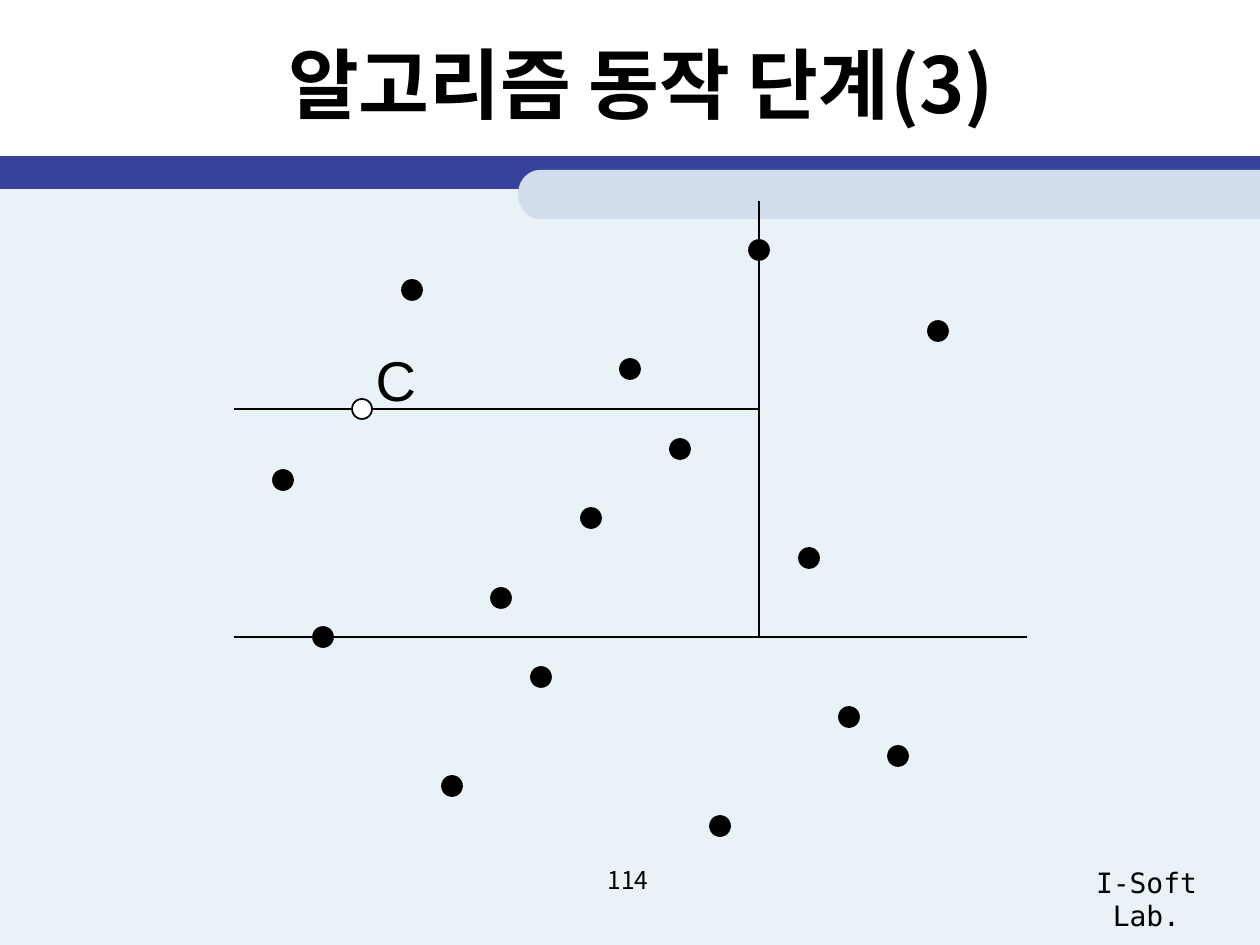
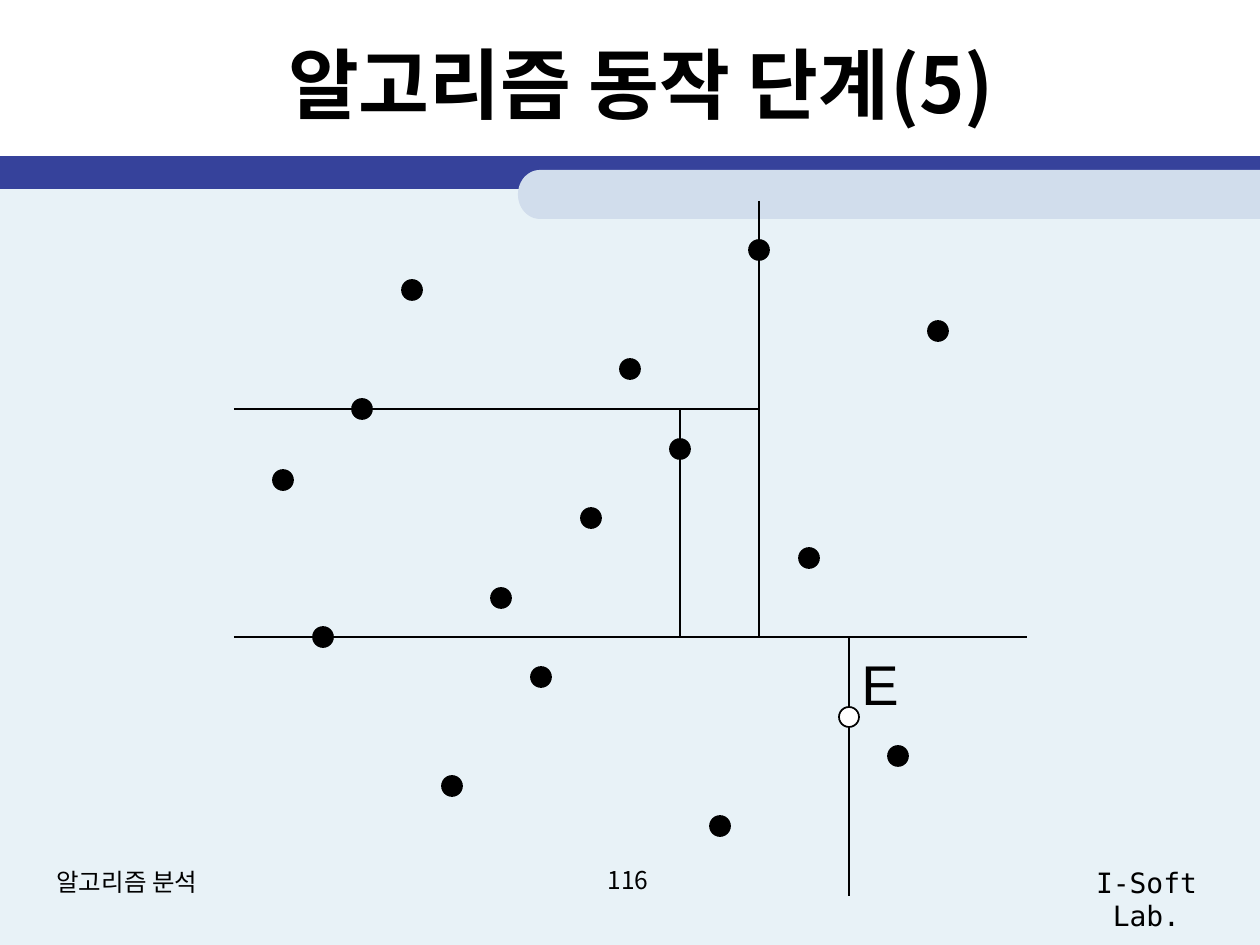
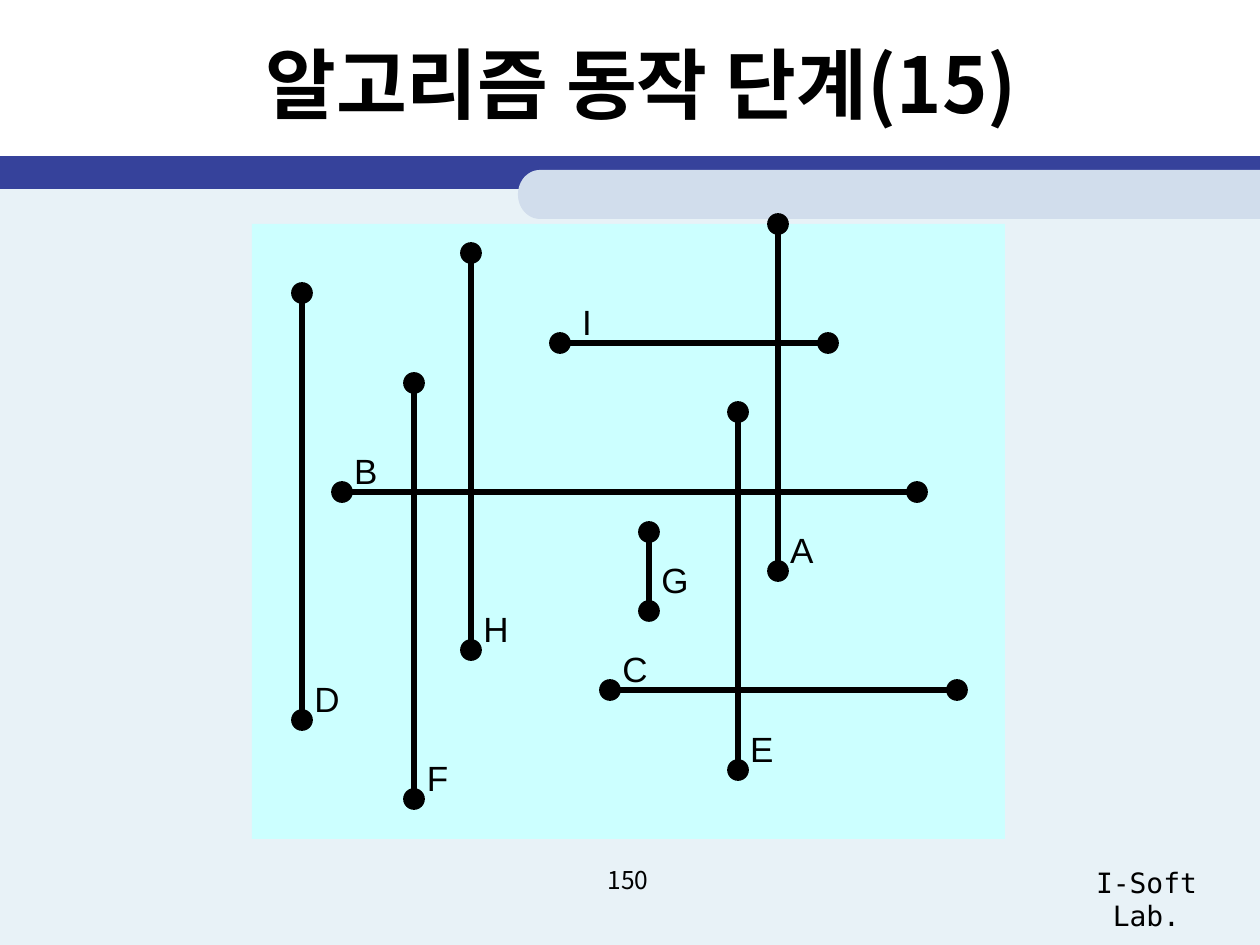
from dataclasses import dataclass
from math import cos, pi, sin

from lxml.etree import SubElement
from pptx import Presentation
from pptx.dml.color import RGBColor
from pptx.enum.shapes import MSO_CONNECTOR, MSO_SHAPE
from pptx.enum.text import MSO_ANCHOR, MSO_AUTO_SIZE, PP_ALIGN
from pptx.oxml.ns import qn
from pptx.shapes.autoshape import Shape
from pptx.slide import Slide
from pptx.text.text import TextFrame
from pptx.util import Pt

PX = 914400 / 126
SLIDE_WIDTH, SLIDE_HEIGHT = 1260, 945
DOT_SIZE = 20
COLORS = {
    "ink": "000000",
    "paper": "FFFFFF",
    "background": "E8F2F7",
    "band": "36429B",
    "tab": "D1DDEC",
    "panel": "CCFFFF",
}
KOREAN, LATIN, MONO = "Noto Sans CJK KR", "Arial", "DejaVu Sans Mono"

Point = tuple[int, int]
Box = tuple[int, int, int, int]


@dataclass(frozen=True)
class Label:
    text: str
    box: Box


@dataclass(frozen=True)
class Line:
    start: Point
    end: Point


@dataclass(frozen=True)
class Segment:
    name: str
    line: Line
    label_width: int
    nudge: Point = (0, 0)


@dataclass(frozen=True)
class Step:
    number: int
    page: int
    current: Point
    label: Label
    lines: list[Line]
    footer: str = ""


# Points of the plane and the lines that divide it
POINTS = [
    (412, 290), (591, 518), (720, 826), (849, 717), (898, 756), (541, 677),
    (630, 369), (283, 480), (501, 598), (452, 786), (809, 558), (680, 449),
    (938, 331), (323, 637), (759, 250), (362, 409),
]
FIRST_CUTS = [
    Line((234, 637), (1027, 637)),
    Line((759, 201), (759, 637)),
    Line((234, 409), (759, 409)),
]
STEPS = [
    Step(3, 114, (362, 409), Label("C", (363, 339, 66, 81)), FIRST_CUTS),
    Step(5, 116, (849, 717), Label("E", (849, 643, 62, 81)),
         FIRST_CUTS + [Line((680, 409), (680, 637)),
                       Line((849, 637), (849, 896))],
         "알고리즘 분석"),
]

# Horizontal and vertical segments of the last step
SEGMENTS = [
    Segment("D", Line((302, 293), (302, 720)), 50),
    Segment("A", Line((778, 224), (778, 571)), 48),
    Segment("B", Line((342, 492), (917, 492)), 48),
    Segment("C", Line((610, 690), (957, 690)), 50),
    Segment("E", Line((738, 412), (738, 770)), 48),
    Segment("G", Line((649, 532), (649, 611)), 52, (0, -10)),
    Segment("H", Line((471, 253), (471, 650)), 50),
    Segment("I", Line((560, 343), (828, 343)), 34, (10, 0)),
    Segment("F", Line((414, 383), (414, 799)), 47),
]


def px(length: float) -> int:
    return round(length * PX)


def color(name: str) -> RGBColor:
    return RGBColor.from_string(COLORS[name])


def write(frame: TextFrame, text: str, *, size: int, font: str = KOREAN,
          bold: bool = False, align: PP_ALIGN = PP_ALIGN.CENTER,
          anchor: MSO_ANCHOR = MSO_ANCHOR.TOP, wrap: bool = True) -> None:
    frame.word_wrap = wrap
    frame.auto_size = MSO_AUTO_SIZE.NONE
    frame.vertical_anchor = anchor
    paragraph = frame.paragraphs[0]
    paragraph.alignment = align
    run = paragraph.add_run()
    run.text = text
    run.font.size = Pt(size)
    run.font.bold = bold
    run.font.color.rgb = color("ink")
    run.font.name = font
    SubElement(run.font._element, qn("a:ea")).set("typeface", font)


def add_text(slide: Slide, box: Box, text: str, **style) -> Shape:
    text_box = slide.shapes.add_textbox(*map(px, box))
    write(text_box.text_frame, text, **style)
    return text_box


def paint(shape: Shape, fill: str, line: str = "") -> Shape:
    shape.shadow.inherit = False
    shape.fill.solid()
    shape.fill.fore_color.rgb = color(fill)
    if line:
        shape.line.color.rgb = color(line)
        shape.line.width = Pt(1)
    else:
        shape.line.fill.background()
    return shape


def add_rectangle(slide: Slide, box: Box, fill: str) -> Shape:
    return paint(slide.shapes.add_shape(MSO_SHAPE.RECTANGLE, *map(px, box)), fill)


def add_dot(slide: Slide, center: Point, fill: str = "ink") -> None:
    left, top = (value - DOT_SIZE / 2 for value in center)
    box = (left, top, DOT_SIZE, DOT_SIZE)
    paint(slide.shapes.add_shape(MSO_SHAPE.OVAL, *map(px, box)), fill, "ink")


def add_line(slide: Slide, line: Line, width: float) -> None:
    connector = slide.shapes.add_connector(
        MSO_CONNECTOR.STRAIGHT, *map(px, line.start + line.end))
    connector.line.color.rgb = color("ink")
    connector.line.width = Pt(width)
    SubElement(connector.element.spPr, qn("a:effectLst"))


def add_tab(slide: Slide) -> Shape:
    """A strip with a rounded left end that runs to the slide's right edge."""
    center_x, center_y, radius_x, radius_y = 540, 194.5, 22, 24.5
    angles = [pi / 2 + pi * step / 24 for step in range(25)]
    outline = [(px(center_x + radius_x * cos(angle)),
                px(center_y - radius_y * sin(angle))) for angle in angles]
    right = px(SLIDE_WIDTH)
    builder = slide.shapes.build_freeform(right, outline[0][1])
    builder.add_line_segments(outline + [(right, outline[-1][1])], close=True)
    return paint(builder.convert_to_shape(), "tab")


def dress_master(presentation: Presentation, slide: Slide) -> None:
    """Draw the shared parts on a slide and move them to the master."""
    parts = [
        add_rectangle(slide, (0, 176, SLIDE_WIDTH, 769), "background"),
        add_rectangle(slide, (0, 156, SLIDE_WIDTH, 33), "band"),
        add_tab(slide),
        add_text(slide, (1047, 859, 199, 47), "I-Soft Lab.", size=16, font=MONO),
    ]
    tree = presentation.slide_master.shapes.element
    for number, part in enumerate(parts):
        part.element.xpath("./p:nvSpPr/p:cNvPr")[0].set("id", str(100 + number))
        tree.insert(2 + number, part.element)


def add_step_slide(presentation: Presentation, number: int, page: int,
                   footer: str = "") -> Slide:
    slide = presentation.slides.add_slide(presentation.slide_layouts[5])
    title = slide.shapes.title
    title.left, title.top, title.width, title.height = map(px, (74, 10, 1134, 145))
    write(title.text_frame, f"알고리즘 동작 단계({number})", size=44, bold=True,
          anchor=MSO_ANCHOR.MIDDLE)
    if footer:
        add_text(slide, (44, 861, 399, 66), footer, size=14, align=PP_ALIGN.LEFT)
    add_text(slide, (481, 859, 294, 66), str(page), size=14)
    return slide


def draw_division(slide: Slide, step: Step) -> None:
    for line in step.lines:
        add_line(slide, line, 0.75)
    for point in POINTS:
        add_dot(slide, point, "paper" if point == step.current else "ink")
    add_text(slide, step.label.box, step.label.text, size=32, font=LATIN, wrap=False)


def draw_segments(slide: Slide) -> None:
    add_rectangle(slide, (252, 224, 753, 615), "panel")
    for segment in SEGMENTS:
        line = segment.line
        add_line(slide, line, 3)
        add_dot(slide, line.start)
        add_dot(slide, line.end)
        # Names stand at the left end or at the lower end
        is_vertical = line.start[0] == line.end[0]
        x, y = line.end if is_vertical else line.start
        box = (x + segment.nudge[0], y - 49 + segment.nudge[1],
               segment.label_width, 55)
        add_text(slide, box, segment.name, size=20, font=LATIN, wrap=False)


def main() -> None:
    presentation = Presentation()
    presentation.slide_width = px(SLIDE_WIDTH)
    presentation.slide_height = px(SLIDE_HEIGHT)
    for step in STEPS:
        slide = add_step_slide(presentation, step.number, step.page, step.footer)
        draw_division(slide, step)
    last_slide = add_step_slide(presentation, 15, 150)
    draw_segments(last_slide)
    dress_master(presentation, last_slide)
    presentation.save("out.pptx")


if __name__ == "__main__":
    main()
